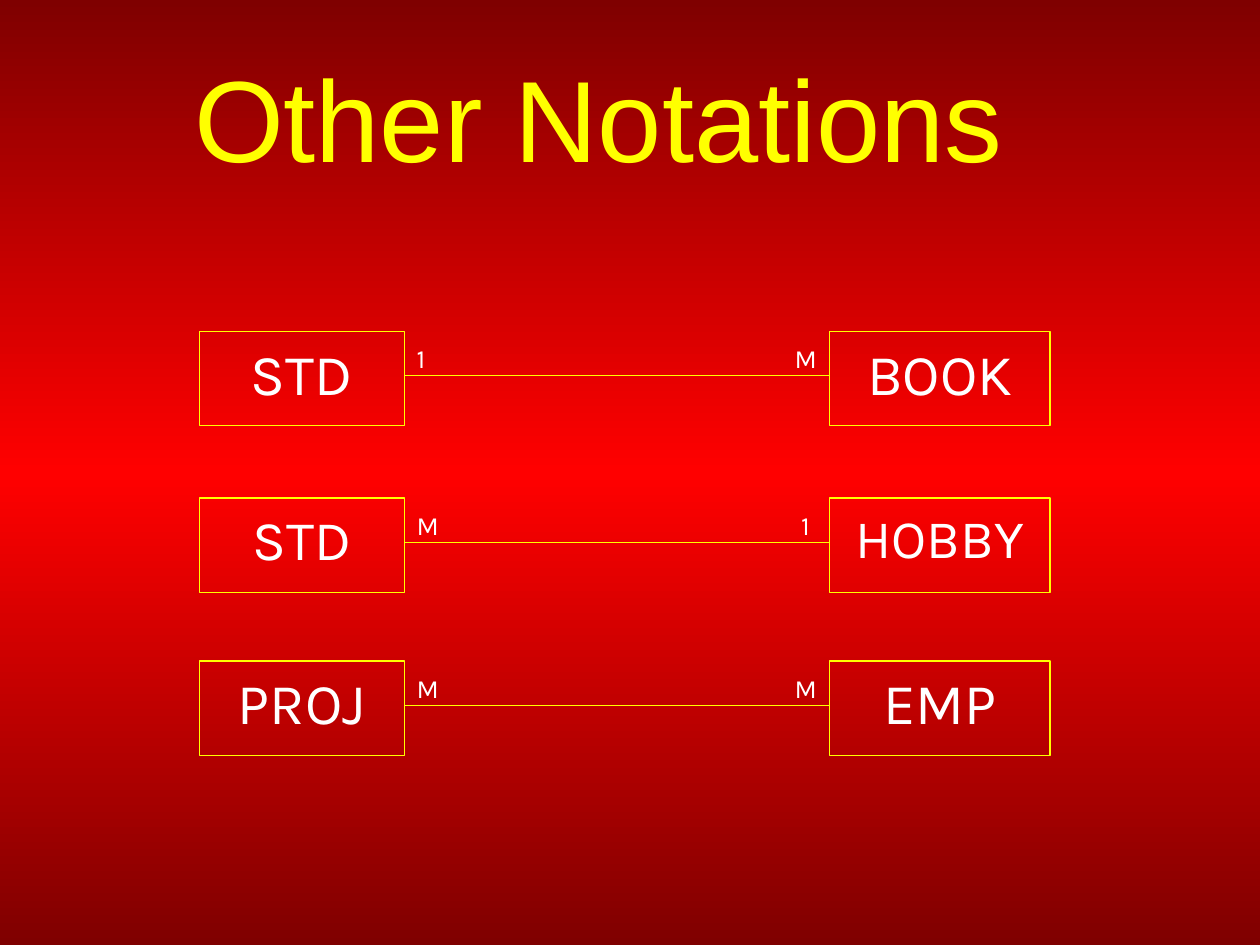
from copy import deepcopy
from pptx import Presentation
from pptx.dml.color import RGBColor
from pptx.enum.shapes import MSO_CONNECTOR as Link, MSO_SHAPE as Kind
from pptx.enum.text import MSO_ANCHOR as Anchor, PP_ALIGN as Align
from pptx.oxml.ns import qn
from pptx.oxml.xmlchemy import OxmlElement as Node
from pptx.util import Pt

TITLE = "Other Notations"
YELLOW, WHITE = "FFFF00", "FFFFFF"
STOPS = [(0, "7F0000"), (0.5, "FF0000"), (1, "7F0000")]
ROWS = [
    (189.25, ("STD", 33), "1", "M", 447, ("BOOK", 33)),
    (284.5, ("STD", 32), "M", "1", 450.75, ("HOBBY", 31)),
    (377.75, ("PROJ", 33), "M", "M", 447, ("EMP", 33)),
]
LEFT, LEFT_W = 114, 117
RIGHT, RIGHT_W = 474, 126
HIGH, DROP, LABEL = 54, 25.4, 27


def color(text):
    return RGBColor.from_string(text)


def write(shape, text, size, font="Karla", ink=WHITE,
          align=Align.CENTER, anchor=Anchor.TOP):
    frame = shape.text_frame
    frame.word_wrap = True
    frame.vertical_anchor = anchor
    para = frame.paragraphs[0]
    para.text = text
    para.alignment = align
    para.font.name = font
    para.font.size = Pt(size)
    para.font.color.rgb = color(ink)


def outline(shape):
    shape.line.color.rgb = color(YELLOW)
    shape.line.width = Pt(0.75)


def entity(x, y, wide, text, size):
    box = shapes.add_shape(Kind.RECTANGLE, Pt(x), Pt(y), Pt(wide), Pt(HIGH))
    box.shadow.inherit = False
    box.fill.background()
    outline(box)
    write(box, text, size)


def label(x, y, text):
    box = shapes.add_textbox(Pt(x), Pt(y), Pt(LABEL), Pt(LABEL))
    write(box, text, 15, align=Align.LEFT)


def link(y):
    line = shapes.add_connector(Link.STRAIGHT, Pt(LEFT + LEFT_W), Pt(y),
                                Pt(RIGHT), Pt(y))
    outline(line)
    line._element.spPr.append(Node("a:effectLst"))


deck = Presentation()
deck.slide_width, deck.slide_height = Pt(720), Pt(540)
slide = deck.slides.add_slide(deck.slide_layouts[6])
shapes = slide.shapes

fill = slide.background.fill
fill.gradient()
fill.gradient_angle = 270
stops = next(slide.element.iter(qn("a:gsLst")))
stops.insert(1, deepcopy(stops[0]))
for stop, (place, shade) in zip(fill.gradient_stops, STOPS):
    stop.position = place
    stop.color.rgb = color(shade)

head = shapes.add_textbox(Pt(0), Pt(21.6), Pt(684), Pt(90))
write(head, TITLE, 66, "Arial", YELLOW, anchor=Anchor.MIDDLE)

for top, first, near, far, far_x, second in ROWS:
    entity(LEFT, top, LEFT_W, *first)
    entity(RIGHT, top, RIGHT_W, *second)
    link(top + DROP)
    label(LEFT + LEFT_W, top + 3, near)
    label(far_x, top + 3, far)

deck.save("out.pptx")
